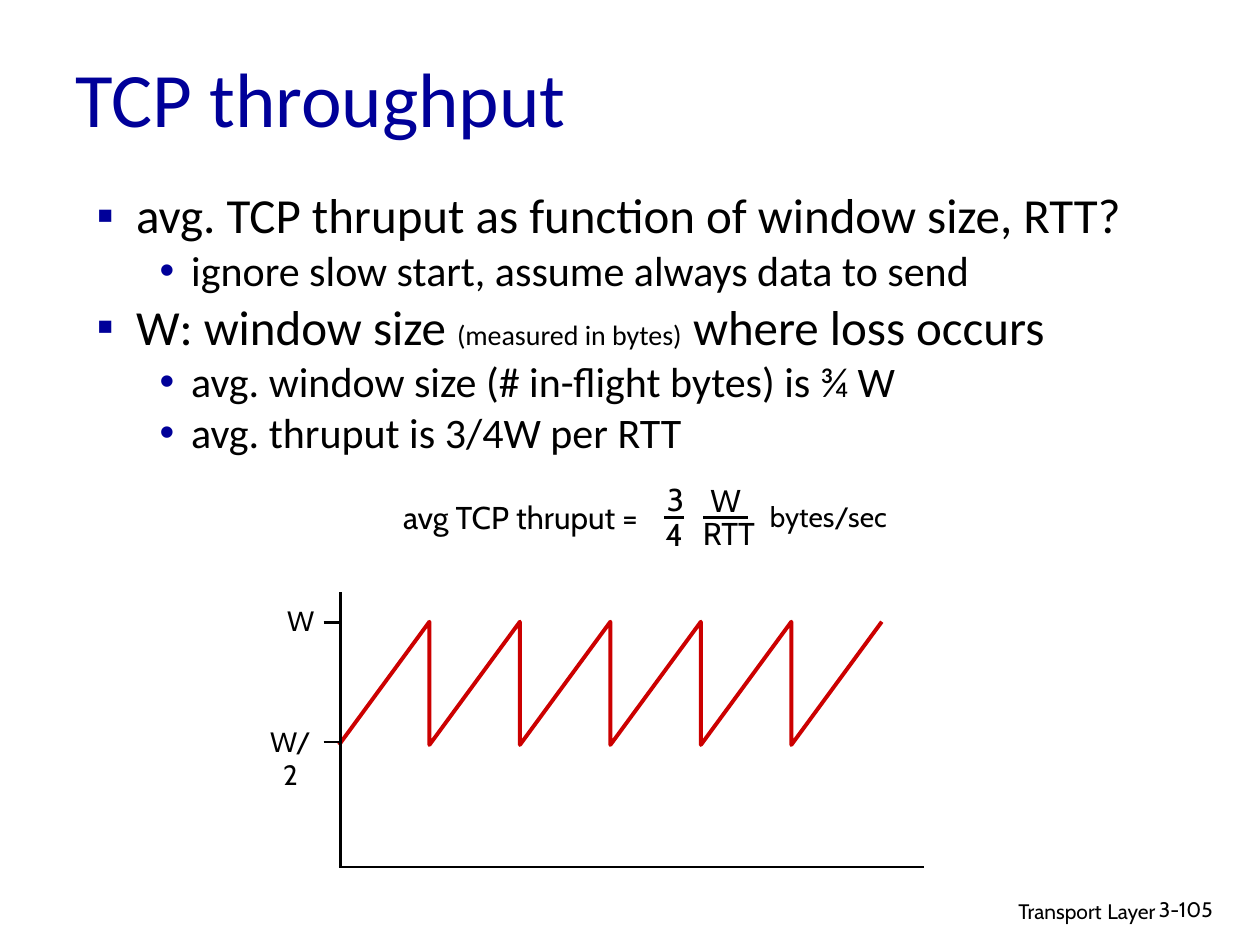
"""Build the TCP throughput slide with its sawtooth window diagram."""
from dataclasses import dataclass

from lxml import etree
from pptx import Presentation
from pptx import util as u
from pptx.dml import color
from pptx.enum import shapes, text
from pptx.oxml import ns

Pt = u.Pt


@dataclass(frozen=True)
class Theme:
    """Colours, fonts and type sizes of the slide."""
    navy: str = "000099"
    black: str = "000000"
    red: str = "CC0000"
    main: str = "Calibri"
    label: str = "Cabin"
    title: int = 44
    levels: tuple = (28, 24)
    aside: int = 16
    formula: int = 18
    small: int = 16
    footer: int = 12
    footer_gap: int = 14


THEME = Theme()
LEFT, CENTER, RIGHT = text.PP_ALIGN.LEFT, text.PP_ALIGN.CENTER, text.PP_ALIGN.RIGHT
INDENTS = ((22.5, -22.5, "▪"), (54, -18, "•"))
BULLETS = [
    (0, [("avg. TCP thruput as function of window size, RTT?", THEME.levels[0])]),
    (1, [("ignore slow start, assume always data to send", THEME.levels[1])]),
    (0, [("W: window size ", THEME.levels[0]), ("(measured in bytes)", THEME.aside),
         (" where loss occurs", THEME.levels[0])]),
    (1, [("avg. window size (# in-flight bytes) is ¾ W", THEME.levels[1])]),
    (1, [("avg. thruput is 3/4W per RTT", THEME.levels[1])]),
]
FORMULA = [
    ("avg TCP thruput = ", THEME.formula, (215.3, 280.8, 168.5, 28.8)),
    ("3", THEME.formula, (373.7, 270.7, 24.5, 28.8)),
    ("4", THEME.formula, (373, 290.9, 24.5, 28.8)),
    ("W", THEME.formula, (398.9, 271.4, 31, 28.8)),
    ("RTT", THEME.formula, (393.1, 290.2, 46.8, 28.8)),
    ("bytes/sec", THEME.small, (432.7, 282.2, 81.4, 26.6)),
]


def add_span(para, words, size, font, tint):
    """Append one styled run to a paragraph."""
    span = para.add_run()
    span.text = words
    span.font.size = Pt(size)
    span.font.name = font
    span.font.color.rgb = color.RGBColor.from_string(tint)


def add_box(page, area, wrap=True):
    """Add an empty text box and return its text frame."""
    frame = page.shapes.add_textbox(*map(Pt, area)).text_frame
    frame.word_wrap = wrap
    return frame


def add_label(page, area, spans, align=CENTER, wrap=False, font=THEME.label,
              tint=THEME.black):
    """Add a one-paragraph text box made of (words, size) runs."""
    frame = add_box(page, area, wrap)
    para = frame.paragraphs[0]
    para.alignment = align
    for words, size in spans:
        add_span(para, words, size, font, tint)
    return frame


def set_bullet(para, level):
    """Give a paragraph the hanging indent and bullet of its level."""
    margin, indent, mark = INDENTS[level]
    props = para._p.get_or_add_pPr()
    props.set("marL", str(Pt(margin)))
    props.set("indent", str(Pt(indent)))
    tint = etree.SubElement(props, ns.qn("a:buClr"))
    etree.SubElement(tint, ns.qn("a:srgbClr"), val=THEME.navy)
    etree.SubElement(props, ns.qn("a:buFont"), typeface="Arial")
    etree.SubElement(props, ns.qn("a:buChar"), char=mark)


def add_bullets(page, area):
    """Add the two-level bullet list."""
    frame = add_box(page, area)
    for index, (level, spans) in enumerate(BULLETS):
        para = frame.add_paragraph() if index else frame.paragraphs[0]
        para.level = level
        para.line_spacing = 0.85
        para.space_before = Pt(THEME.levels[level] * 0.2)
        set_bullet(para, level)
        for words, size in spans:
            add_span(para, words, size, THEME.main, THEME.black)


def add_rule(page, *ends):
    """Draw a straight black line from x1, y1 to x2, y2."""
    rule = page.shapes.add_connector(shapes.MSO_CONNECTOR.STRAIGHT, *map(Pt, ends))
    rule.line.width = Pt(1.5)
    rule.line.color.rgb = color.RGBColor.from_string(THEME.black)
    etree.SubElement(rule._element.spPr, ns.qn("a:effectLst"))


def add_sawtooth(page, left, peak, trough, pitch, teeth):
    """Draw the window size rising to the peak and halving after each loss."""
    points = []
    for tooth in range(1, teeth + 1):
        x = Pt(left + tooth * pitch)
        points += [(x, Pt(peak)), (x, Pt(trough))]
    builder = page.shapes.build_freeform(Pt(left), Pt(trough))
    builder.add_line_segments(points[:-1], close=False)
    wave = builder.convert_to_shape()
    wave.shadow.inherit = False
    wave.fill.background()
    wave.line.width = Pt(2.25)
    wave.line.color.rgb = color.RGBColor.from_string(THEME.red)


def add_diagram(page):
    """Draw the axes, level ticks, labels and sawtooth."""
    add_sawtooth(page, 193.7, 355.3, 425.7, 51.7, 6)
    add_rule(page, 193.7, 495.4, 527.8, 495.4)
    add_rule(page, 194.4, 338.4, 194.4, 496)
    for level in (355.7, 424.1):
        add_rule(page, 185, level, 193.7, level)
    add_label(page, (157, 341.3, 28.8, 26.6), [("W", THEME.small)])
    add_label(page, (144, 410.4, 43.9, 26.6), [("W/2", THEME.small)], wrap=True)


def add_formula(page):
    """Set the throughput formula with its two fractions."""
    for words, size, area in FORMULA:
        add_label(page, area, [(words, size)])
    for start, end in ((379.4, 391), (401.8, 427.7)):
        add_rule(page, start, 295.9, end, 295.9)


def main():
    """Build and save the deck."""
    deck = Presentation()
    deck.slide_width, deck.slide_height = Pt(720), Pt(540)
    page = deck.slides.add_slide(deck.slide_layouts[6])
    add_label(page, (439.2, 507.6, 228.2, 22.3),
              [("Transport", THEME.footer), (" ", THEME.footer_gap),
               ("Layer", THEME.footer)], RIGHT, True)
    add_label(page, (655.2, 509, 53.3, 21.6), [("3-105", THEME.footer)], LEFT, True)
    title = add_label(page, (36, 18.7, 612, 73.4), [("TCP throughput", THEME.title)],
                      LEFT, True, THEME.main, THEME.navy)
    title.vertical_anchor = text.MSO_ANCHOR.MIDDLE
    add_bullets(page, (48.2, 107.3, 650.9, 365.8))
    add_diagram(page)
    add_formula(page)
    deck.save("out.pptx")


if __name__ == "__main__":
    main()
